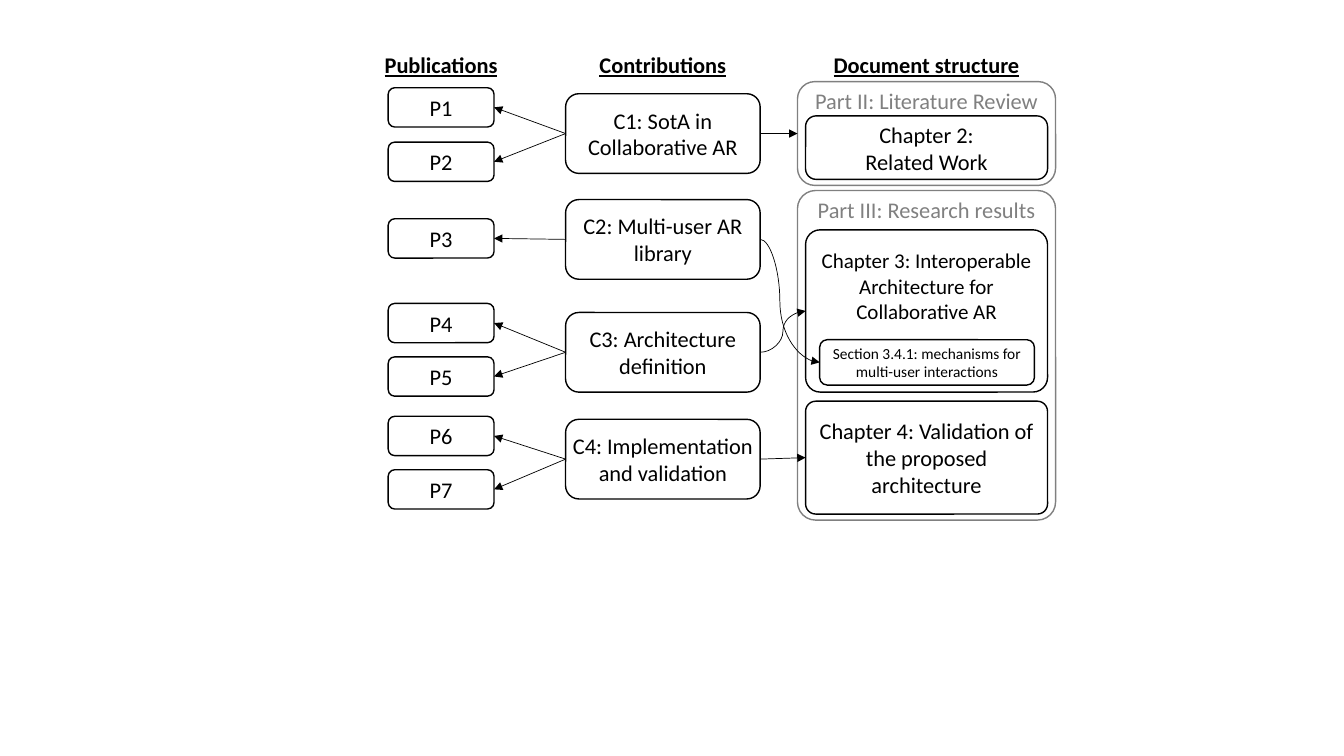
import dataclasses

import lxml.etree
import pptx
import pptx.dml.color
import pptx.enum.shapes
import pptx.enum.text
import pptx.oxml.ns
import pptx.util

CELL = 0.1
MIDDLE = pptx.enum.text.MSO_ANCHOR.MIDDLE
TOP = pptx.enum.text.MSO_ANCHOR.TOP
CONNECTOR = pptx.enum.shapes.MSO_CONNECTOR
LEFT_SITE, RIGHT_SITE = 1, 3


@dataclasses.dataclass(frozen=True)
class Theme:
    font: str = "Calibri"
    ink: str = "000000"
    muted: str = "808080"
    paper: str = "FFFFFF"
    body: int = 16
    compact: int = 15
    small: int = 11
    outline: float = 1
    arrow: float = 0.5


@dataclasses.dataclass(frozen=True)
class Box:
    column: float
    row: float
    columns: float
    rows: float

    def inner(self, column, row, columns, rows):
        return Box(self.column + column, self.row + row, columns, rows)

    def lengths(self):
        cells = (self.column, self.row, self.columns, self.rows)
        return [pptx.util.Inches(cell * CELL) for cell in cells]


THEME = Theme()


def color(value):
    return pptx.dml.color.RGBColor.from_string(value)


def write(shape, text, size, ink, anchor=MIDDLE, bold=None, underline=None):
    frame = shape.text_frame
    frame.word_wrap = True
    frame.vertical_anchor = anchor
    frame.margin_left = frame.margin_right = frame.margin_top = frame.margin_bottom = 0
    frame.text = text
    for paragraph in frame.paragraphs:
        paragraph.alignment = pptx.enum.text.PP_ALIGN.CENTER
        font = paragraph.font
        font.name, font.size = THEME.font, pptx.util.Pt(size)
        font.bold, font.underline = bold, underline
        font.color.rgb = color(ink)


def add_heading(slide, region, text):
    box = region.inner(0, 0, region.columns, 3.7)
    shape = slide.shapes.add_textbox(*box.lengths())
    write(shape, text, THEME.body, THEME.ink, bold=True, underline=True)


def add_node(slide, box, text, size=THEME.body, ink=THEME.ink, filled=True,
             anchor=MIDDLE, rounding=None):
    kind = pptx.enum.shapes.MSO_SHAPE.ROUNDED_RECTANGLE
    shape = slide.shapes.add_shape(kind, *box.lengths())
    shape.shadow.inherit = False
    if rounding is not None:
        shape.adjustments[0] = rounding
    if filled:
        shape.fill.solid()
        shape.fill.fore_color.rgb = color(THEME.paper)
    else:
        shape.fill.background()
    shape.line.color.rgb = color(ink)
    shape.line.width = pptx.util.Pt(THEME.outline)
    write(shape, text, size, ink, anchor)
    return shape


def add_arrow(slide, source, target, leftward=False, kind=CONNECTOR.STRAIGHT, bend=None):
    connector = slide.shapes.add_connector(kind, 0, 0, 0, 0)
    connector.begin_connect(source, LEFT_SITE if leftward else RIGHT_SITE)
    connector.end_connect(target, RIGHT_SITE if leftward else LEFT_SITE)
    connector.line.color.rgb = color(THEME.ink)
    connector.line.width = pptx.util.Pt(THEME.arrow)
    qualified = pptx.oxml.ns.qn
    properties = connector._element.spPr
    line = properties.find(qualified("a:ln"))
    lxml.etree.SubElement(line, qualified("a:tailEnd"), type="triangle")
    lxml.etree.SubElement(properties, qualified("a:effectLst"))
    if bend is not None:
        guides = properties.find(qualified("a:prstGeom")).find(qualified("a:avLst"))
        lxml.etree.SubElement(guides, qualified("a:gd"), name="adj1",
                              fmla=f"val {round(bend * 100000)}")


def add_publications(slide, region):
    add_heading(slide, region, "Publications")
    rows = (4.1, 9.5, 17.1, 25.5, 30.8, 36.7, 42)
    return [add_node(slide, region.inner(2.1, row, 10.5, 3.9), f"P{number}")
            for number, row in enumerate(rows, start=1)]


def add_contributions(slide, region):
    add_heading(slide, region, "Contributions")
    contributions = (
        (4.7, "C1: SotA in Collaborative AR"),
        (15.2, "C2: Multi-user AR library"),
        (26.4, "C3: Architecture definition"),
        (37, "C4: Implementation and validation"),
    )
    return [add_node(slide, region.inner(0, row, region.columns, 7.9), text)
            for row, text in contributions]


def add_document_structure(slide, region):
    add_heading(slide, region, "Document structure")

    def add_part(row, rows, text, rounding=None):
        return add_node(slide, region.inner(0, row, region.columns, rows), text,
                        ink=THEME.muted, filled=False, anchor=TOP, rounding=rounding)

    def add_chapter(row, rows, text, size=THEME.body, rounding=None):
        box = region.inner(0.8, row, region.columns - 1.6, rows)
        return add_node(slide, box, text, size, rounding=rounding)

    review = add_part(3.5, 10.3, "Part II: Literature Review")
    add_part(14.3, 32.7, "Part III: Research results", 0.07)
    add_chapter(6.9, 6.3, "Chapter 2:\vRelated Work")
    architecture = add_chapter(
        18.2, 16.1, "Chapter 3: Interoperable Architecture for\nCollaborative AR",
        THEME.compact, 0.09)
    architecture.text_frame.margin_bottom = pptx.util.Inches(5 * CELL)
    section = add_node(slide, region.inner(2.2, 29.1, 21.3, 4.5),
                       "Section 3.4.1: mechanisms for\vmulti-user interactions",
                       THEME.small)
    validation = add_chapter(35.2, 11.2,
                             "Chapter 4: Validation of the proposed architecture",
                             rounding=0.09)
    return review, architecture, section, validation


def add_diagram(slide, region):
    publications = add_publications(slide, region.inner(0, 0, 14.7, region.rows))
    contributions = add_contributions(slide, region.inner(19.7, 0, 19.3, region.rows))
    review, architecture, section, validation = add_document_structure(
        slide, region.inner(42.7, 0, 25.6, region.rows))
    published_in = (0, 0, 1, 2, 2, 3, 3)
    for publication, index in zip(publications, published_in):
        add_arrow(slide, contributions[index], publication, leftward=True)
    state_of_art, library, definition, implementation = contributions
    add_arrow(slide, state_of_art, review)
    add_arrow(slide, library, section, kind=CONNECTOR.CURVE, bend=0.33)
    add_arrow(slide, definition, architecture, kind=CONNECTOR.CURVE, bend=0.5)
    add_arrow(slide, implementation, validation)


presentation = pptx.Presentation()
presentation.slide_width = pptx.util.Inches(13.33)
presentation.slide_height = pptx.util.Inches(7.5)
blank_layout = presentation.slide_layouts[6]
add_diagram(presentation.slides.add_slide(blank_layout), Box(36.4, 4.6, 68.3, 47))
presentation.save("out.pptx")
